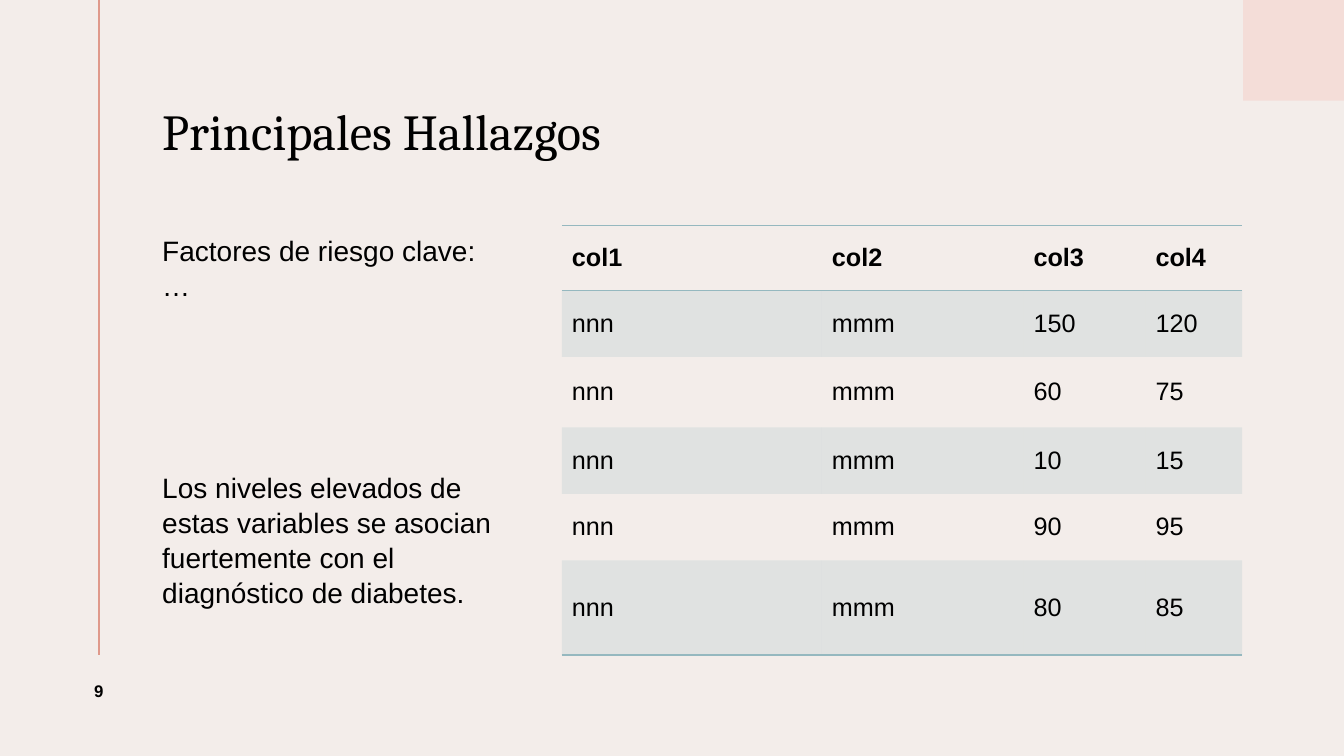
from dataclasses import dataclass

from lxml.etree import SubElement
from pptx import Presentation
from pptx.dml.color import RGBColor
from pptx.enum.shapes import MSO_CONNECTOR, MSO_SHAPE
from pptx.enum.text import MSO_ANCHOR, MSO_AUTO_SIZE, PP_ALIGN
from pptx.oxml.ns import qn
from pptx.shapes.base import BaseShape
from pptx.slide import Slide
from pptx.table import _Cell
from pptx.text.text import TextFrame, _Paragraph, _Run
from pptx.util import Inches, Pt

SLIDE_WIDTH, SLIDE_HEIGHT = Inches(13.33), Inches(7.5)
NO_TABLE_STYLE = "{2D5ABB26-0587-4C30-8999-92F81FD0307C}"


@dataclass(frozen=True)
class Theme:
    background: str = "F3EDEA"
    text: str = "000000"
    square: str = "F4DDD8"
    rule: str = "DF998B"
    table: str = "95B8BF"
    band_opacity: int = 20
    heading_font: str = "Cambria"
    body_font: str = "Arial"
    title_size: int = 36
    body_size: int = 20
    table_size: int = 18
    number_size: int = 12
    rule_width: float = 1.5
    border_width: float = 1


THEME = Theme()


@dataclass(frozen=True)
class Area:
    """A place on the slide, in percent of its width and height."""
    left: float
    top: float
    width: float
    height: float


@dataclass(frozen=True)
class BodyParagraph:
    text: str
    space_before: int


TITLE_AREA = Area(12.07, 7.33, 80.5, 20.8)
BODY_AREA = Area(12.07, 30, 25.35, 56.4)
NUMBER_AREA = Area(3.38, 86.67, 7.95, 9.47)
SQUARE_AREA = Area(92.5, 0, 7.5, 13.33)
RULE_AREA = Area(7.35, 0, 0, 86.67)
TABLE_AREA = Area(41.8, 29.87, 50.7, 56.8)
COLUMN_WIDTHS = (19.35, 15, 9.08, 7.2)
ROW_HEIGHTS = (8.53, 8.8, 9.33, 8.8, 8.8, 12.53)

BODY = (
    BodyParagraph("Factores de riesgo clave: …", 0),
    BodyParagraph("Los niveles elevados de estas variables se asocian "
                  "fuertemente con el diagnóstico de diabetes.", 120),
)
HEADERS = ("col1", "col2", "col3", "col4")
VALUES = ((150, 120), (60, 75), (10, 15), (90, 95), (80, 85))


def across(percent: float) -> int:
    return round(SLIDE_WIDTH * percent / 100)


def down(percent: float) -> int:
    return round(SLIDE_HEIGHT * percent / 100)


def bounds(area: Area) -> tuple[int, int, int, int]:
    return across(area.left), down(area.top), across(area.width), down(area.height)


def place(shape: BaseShape, area: Area) -> None:
    shape.left, shape.top, shape.width, shape.height = bounds(area)


def add_run(paragraph: _Paragraph, text: str, size: int,
            font: str = THEME.body_font, bold: bool = False) -> _Run:
    run = paragraph.add_run()
    run.text = text
    run.font.name, run.font.size, run.font.bold = font, Pt(size), bold
    run.font.color.rgb = RGBColor.from_string(THEME.text)
    return run


def set_frame(frame: TextFrame, anchor: MSO_ANCHOR) -> None:
    frame.word_wrap = True
    frame.auto_size = MSO_AUTO_SIZE.NONE
    frame.vertical_anchor = anchor
    frame.margin_left = 0


def add_decoration(slide: Slide) -> None:
    square = slide.shapes.add_shape(MSO_SHAPE.RECTANGLE, *bounds(SQUARE_AREA))
    square.shadow.inherit = False
    square.fill.solid()
    square.fill.fore_color.rgb = RGBColor.from_string(THEME.square)
    square.line.fill.background()

    left, top, width, height = bounds(RULE_AREA)
    rule = slide.shapes.add_connector(
        MSO_CONNECTOR.STRAIGHT, left, top, left + width, top + height)
    rule.line.color.rgb = RGBColor.from_string(THEME.rule)
    rule.line.width = Pt(THEME.rule_width)
    SubElement(rule._element.spPr, qn("a:effectLst"))


def fill_title(slide: Slide) -> None:
    title = slide.shapes.title
    place(title, TITLE_AREA)
    set_frame(title.text_frame, MSO_ANCHOR.MIDDLE)
    paragraph = title.text_frame.paragraphs[0]
    paragraph.alignment = PP_ALIGN.LEFT
    paragraph.line_spacing = 0.9
    add_run(paragraph, "Principales Hallazgos", THEME.title_size, THEME.heading_font)


def fill_body(slide: Slide) -> None:
    body = slide.placeholders[1]
    place(body, BODY_AREA)
    frame = body.text_frame
    set_frame(frame, MSO_ANCHOR.TOP)
    for index, item in enumerate(BODY):
        paragraph = frame.add_paragraph() if index else frame.paragraphs[0]
        paragraph.space_before = Pt(item.space_before)
        paragraph.space_after = Pt(0)
        paragraph.line_spacing = 1.04
        # No bullet and no hanging indent
        properties = paragraph._p.get_or_add_pPr()
        properties.set("marL", "0")
        properties.set("indent", "0")
        SubElement(properties, qn("a:buNone"))
        add_run(paragraph, item.text, THEME.body_size)


def add_border(cell: _Cell, side: str) -> None:
    border = SubElement(cell._tc.get_or_add_tcPr(), qn(f"a:{side}"),
                        w=str(Pt(THEME.border_width)))
    fill = SubElement(border, qn("a:solidFill"))
    SubElement(fill, qn("a:srgbClr"), val=THEME.table)


def fill_band(cell: _Cell) -> None:
    cell.fill.solid()
    cell.fill.fore_color.rgb = RGBColor.from_string(THEME.table)
    color = cell._tc.tcPr.find(f".//{qn('a:solidFill')}/{qn('a:srgbClr')}[last()]")
    for color in cell._tc.tcPr.findall(f"{qn('a:solidFill')}/{qn('a:srgbClr')}"):
        SubElement(color, qn("a:alpha"), val=str(THEME.band_opacity * 1000))


def add_findings_table(slide: Slide) -> None:
    rows = [HEADERS, *(("nnn", "mmm", *map(str, pair)) for pair in VALUES)]
    table = slide.shapes.add_table(len(rows), len(HEADERS), *bounds(TABLE_AREA)).table
    table.first_row = table.horz_banding = False
    table._tbl.tblPr.find(qn("a:tableStyleId")).text = NO_TABLE_STYLE
    for column, width in zip(table.columns, COLUMN_WIDTHS):
        column.width = across(width)
    for row, height in zip(table.rows, ROW_HEIGHTS):
        row.height = down(height)

    last_row = len(rows) - 1
    for row_index, texts in enumerate(rows):
        for column_index, text in enumerate(texts):
            cell = table.cell(row_index, column_index)
            cell.vertical_anchor = MSO_ANCHOR.MIDDLE
            add_run(cell.text_frame.paragraphs[0], text, THEME.table_size,
                    bold=row_index == 0)
            if row_index == 0:
                add_border(cell, "lnT")
            if row_index in (0, last_row):
                add_border(cell, "lnB")
            if row_index % 2:
                fill_band(cell)
            else:
                cell.fill.background()


def add_slide_number(slide: Slide) -> None:
    frame = slide.shapes.add_textbox(*bounds(NUMBER_AREA)).text_frame
    frame.word_wrap = True
    frame.vertical_anchor = MSO_ANCHOR.MIDDLE
    paragraph = frame.paragraphs[0]
    paragraph.alignment = PP_ALIGN.CENTER
    run = add_run(paragraph, "9", THEME.number_size, bold=True)
    run._r.get_or_add_rPr().set("spc", "150")


def main() -> None:
    presentation = Presentation()
    presentation.slide_width, presentation.slide_height = SLIDE_WIDTH, SLIDE_HEIGHT
    slide = presentation.slides.add_slide(presentation.slide_layouts[1])
    slide.background.fill.solid()
    slide.background.fill.fore_color.rgb = RGBColor.from_string(THEME.background)
    add_decoration(slide)
    fill_title(slide)
    fill_body(slide)
    add_findings_table(slide)
    add_slide_number(slide)
    presentation.save("out.pptx")


if __name__ == "__main__":
    main()
